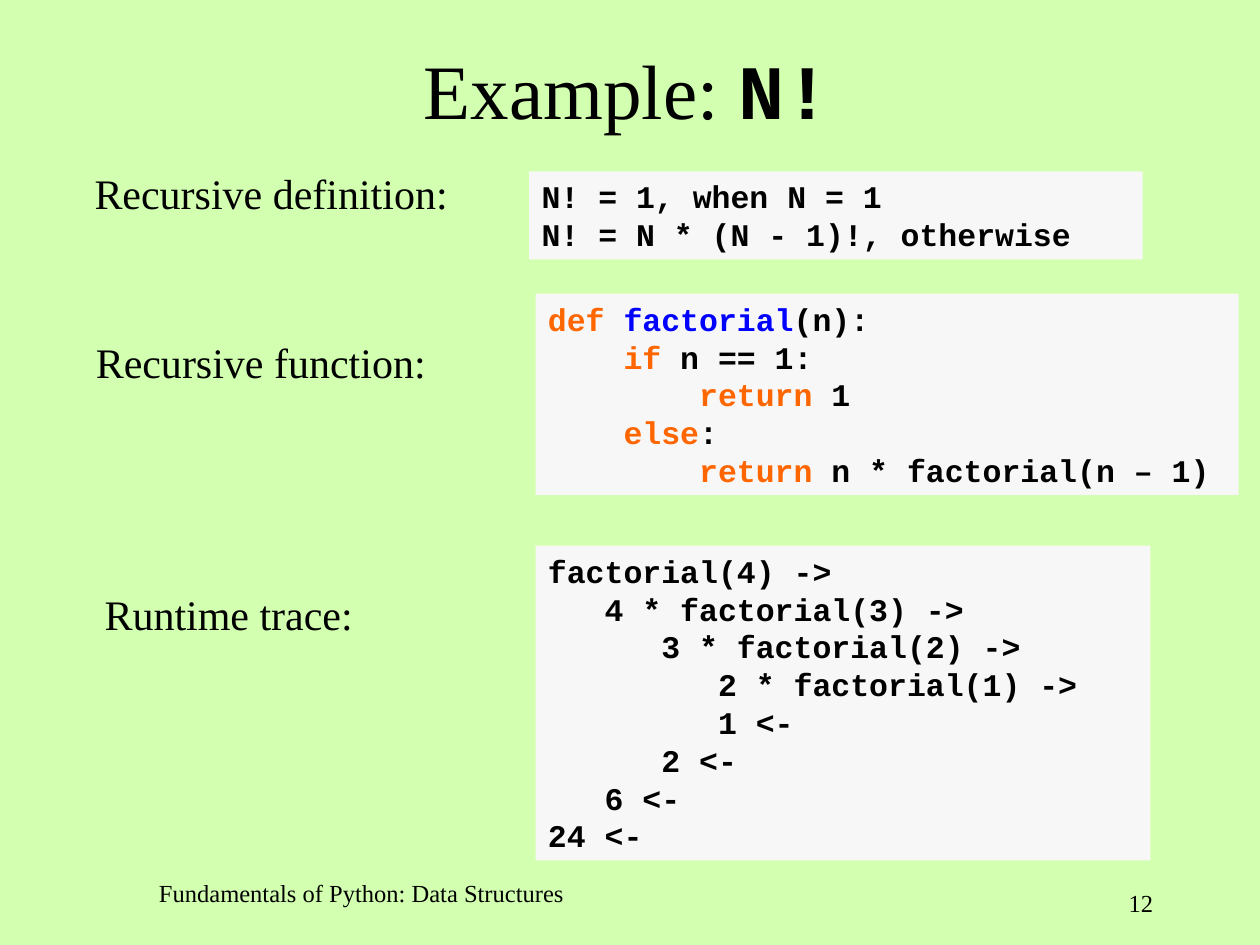
from pptx import Presentation
from pptx.dml.color import RGBColor
from pptx.enum.shapes import MSO_SHAPE as Shape
from pptx.enum.text import MSO_ANCHOR as Anchor, PP_ALIGN as Align
from pptx.util import Inches, Pt

SERIF, MONO = "Times New Roman", "Courier New"
BLACK, ORANGE, BLUE = "000000", "FF6600", "0000FF"
CHARACTER_WIDTH = 0.15


def color(value):
    return RGBColor.from_string(value)


def add_run(paragraph, text, font_name, size, value=BLACK, bold=False):
    run = paragraph.add_run()
    run.text = text
    run.font.name = font_name
    run.font.size = Pt(size)
    run.font.bold = bold
    run.font.color.rgb = color(value)


presentation = Presentation()
presentation.slide_width = Inches(10)
presentation.slide_height = Inches(7.5)
slide = presentation.slides.add_slide(presentation.slide_layouts[5])
slide.background.fill.solid()
slide.background.fill.fore_color.rgb = color("D2FFB0")

title = slide.shapes.title
title.left, title.top = Inches(0.75), Inches(0.08)
title.width, title.height = Inches(8.5), Inches(1.25)
title.text_frame.vertical_anchor = Anchor.MIDDLE
title.text_frame.margin_right = Inches(0.14)
paragraph = title.text_frame.paragraphs[0]
paragraph.alignment = Align.CENTER
add_run(paragraph, "Example: ", SERIF, 44)
add_run(paragraph, "N!", MONO, 44, bold=True)

definition = [
    (0, [("N! = 1, when N = 1", BLACK)]),
    (0, [("N! = N * (N - 1)!, otherwise", BLACK)]),
]
function = [
    (0, [("def ", ORANGE), ("factorial", BLUE), ("(n):", BLACK)]),
    (4, [("if", ORANGE), (" n == 1:", BLACK)]),
    (8, [("return", ORANGE), (" 1", BLACK)]),
    (4, [("else", ORANGE), (":", BLACK)]),
    (8, [("return", ORANGE), (" n * factorial(n – 1)", BLACK)]),
]
trace = [
    (0, [("factorial(4) ->", BLACK)]),
    (3, [("4 * factorial(3) ->", BLACK)]),
    (6, [("3 * factorial(2) ->", BLACK)]),
    (9, [("2 * factorial(1) ->", BLACK)]),
    (9, [("1 <-", BLACK)]),
    (6, [("2 <-", BLACK)]),
    (3, [("6 <-", BLACK)]),
    (0, [("24 <-", BLACK)]),
]
sections = [
    ("Recursive definition:", (0.71, 1.33, 2.89, 0.4), definition, (4.2, 1.36, 4.87, 0.7)),
    ("Recursive function:", (0.72, 2.67, 2.71, 0.4), function, (4.25, 2.33, 5.58, 1.6)),
    ("Runtime trace:", (0.79, 4.67, 2.06, 0.4), trace, (4.25, 4.33, 4.88, 2.5)),
]
for label_text, label_box, code_lines, code_box in sections:
    group = slide.shapes.add_group_shape()

    panel = group.shapes.add_shape(Shape.RECTANGLE, *map(Inches, code_box))
    panel.shadow.inherit = False
    panel.fill.solid()
    panel.fill.fore_color.rgb = color("F7F7F7")
    panel.line.fill.background()
    frame = panel.text_frame
    frame.word_wrap = True
    frame.vertical_anchor = Anchor.TOP
    for index, (indent, parts) in enumerate(code_lines):
        paragraph = frame.add_paragraph() if index else frame.paragraphs[0]
        paragraph.alignment = Align.LEFT
        properties = paragraph._p.get_or_add_pPr()
        properties.set("marL", str(Inches(indent * CHARACTER_WIDTH)))
        properties.set("indent", "0")
        for text, value in parts:
            add_run(paragraph, text, MONO, 18, value, bold=True)

    label = group.shapes.add_textbox(*map(Inches, label_box))
    frame = label.text_frame
    frame.word_wrap = False
    frame.margin_left = frame.margin_right = Inches(0.04)
    frame.margin_top = frame.margin_bottom = 0
    add_run(frame.paragraphs[0], label_text, SERIF, 24)

footers = [
    ("Fundamentals of Python: Data Structures", (0.83, 6.92, 4.08, 0.58), Align.CENTER),
    ("12", (7.17, 7, 2.08, 0.5), Align.RIGHT),
]
for text, box, alignment in footers:
    footer = slide.shapes.add_textbox(*map(Inches, box))
    footer.text_frame.word_wrap = True
    paragraph = footer.text_frame.paragraphs[0]
    paragraph.alignment = alignment
    add_run(paragraph, text, SERIF, 14)

presentation.save("out.pptx")
